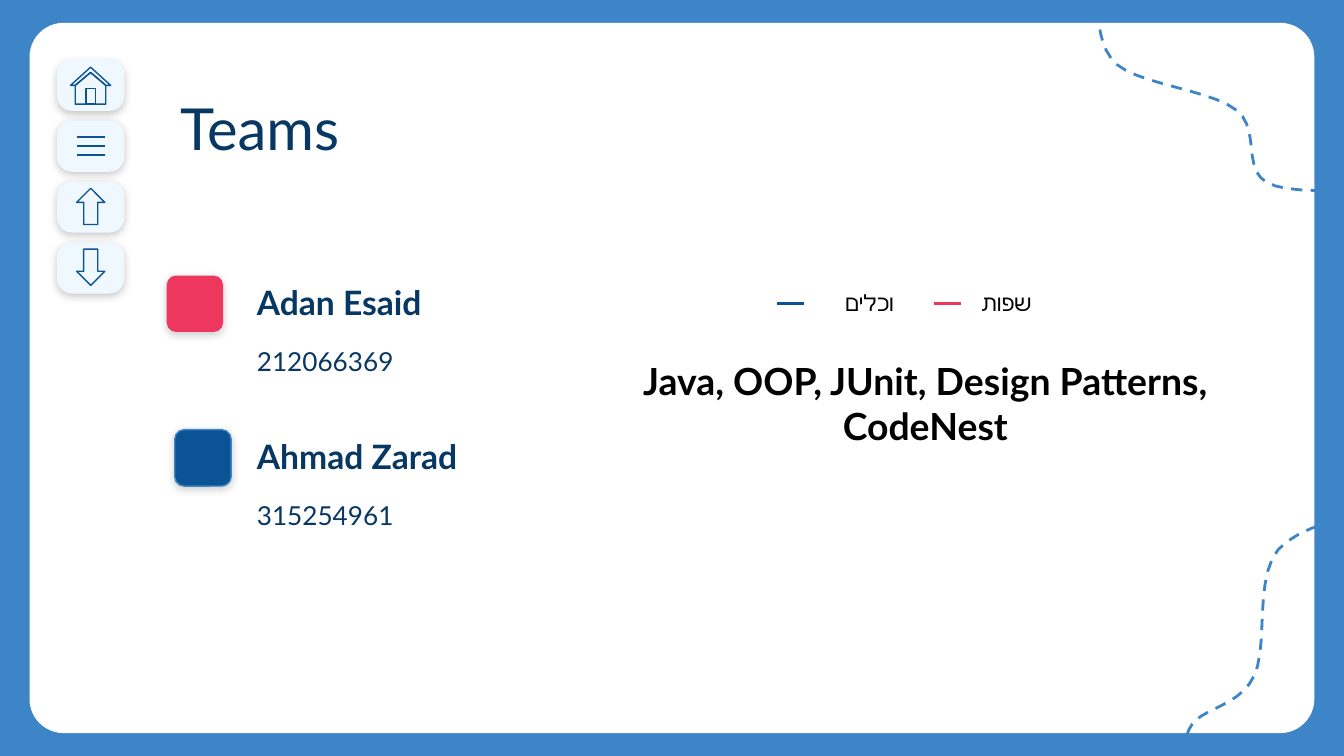
from lxml.etree import SubElement
from pptx import Presentation
from pptx.dml.color import RGBColor
from pptx.enum.dml import MSO_LINE
from pptx.enum.shapes import MSO_CONNECTOR, MSO_SHAPE
from pptx.enum.text import MSO_ANCHOR, MSO_AUTO_SIZE, PP_ALIGN
from pptx.oxml import parse_xml
from pptx.oxml.ns import nsdecls, qn
from pptx.util import Inches, Pt

COLORS = {
    "sky": "3D85C6", "white": "FFFFFF", "navy": "073763", "blue": "0B5394",
    "red": "EE375F", "ice": "F0F8FF", "black": "000000",
}
FONT = "Lato"
COLS, ROWS = 100, 56.25
CELL = Inches(0.1)

BUTTON_X, BUTTON_Y, BUTTON_W, BUTTON_H, BUTTON_STEP = 4.25, 4.45, 5, 3.8, 4.53
TEAM_Y, TEAM_STEP = 20, 11.47
TEAM = [
    ("Adan Esaid", "212066369", 12.4, "red", None),
    ("Ahmad Zarad", "315254961", 13, "blue", "sky"),
]
LEGEND = [("וכלים", 60.4, 57.8, "blue"), ("שפות", 70.6, 69.5, "red")]
CURVES = [
    [(81.5, -0.7), (81.8, 0.2), (81.4, 3.3), (83.1, 4.8), (84.9, 6.3),
     (90.1, 6.7), (92, 8.2), (93.8, 9.6), (92.4, 12.6), (94.3, 13.6),
     (96.1, 14.6), (101.8, 14), (103.3, 14.1)],
    [(88.3, 57.5), (88.3, 56.9), (87.8, 55.1), (88.7, 53.9), (89.5, 52.7),
     (92.3, 52.5), (93.3, 50.3), (94.4, 48.1), (93.3, 43.1), (95.1, 40.9),
     (96.9, 38.8), (102.5, 38), (104, 37.4)],
]
HOUSE = [
    [(6.74, 5.4), (5.6, 6.35), (5.6, 7.75), (7.87, 7.75), (7.87, 6.35)],
    [(6.4, 6.6), (6.4, 7.75), (7.1, 7.75), (7.1, 6.6)],
    [(6.74, 5), (5.25, 6.35), (5.6, 6.35), (6.74, 5.38), (7.87, 6.35),
     (8.23, 6.35)],
]


def grid(*cells):
    return [round(c * CELL) for c in cells]


def color(name):
    return RGBColor.from_string(COLORS[name])


def style_line(line, name, width):
    line.color.rgb = color(name)
    line.width = Pt(width)


def add_shadow(sp, opacity):
    sp._element.spPr.append(parse_xml(
        f'<a:effectLst {nsdecls("a")}><a:outerShdw blurRad="{Pt(4.5)}" '
        f'dist="{Pt(1.5)}" dir="5400000" algn="bl" rotWithShape="0">'
        f'<a:srgbClr val="{COLORS["black"]}"><a:alpha val="{opacity * 1000}"/>'
        '</a:srgbClr></a:outerShdw></a:effectLst>'))


def add_preset(shapes, kind, box, adj, fill=None, line=None, shadow=None):
    sp = shapes.add_shape(kind, *grid(*box))
    for i, value in enumerate(adj):
        sp.adjustments[i] = value
    if fill:
        sp.fill.solid()
        sp.fill.fore_color.rgb = color(fill)
    else:
        sp.fill.background()
    if line:
        style_line(sp.line, line, 0.75)
    else:
        sp.line.fill.background()
    if shadow:
        add_shadow(sp, shadow)
    else:
        sp.shadow.inherit = False
    return sp


def add_line(shapes, x, y, length, name, width):
    cxn = shapes.add_connector(
        MSO_CONNECTOR.STRAIGHT, *grid(x, y, x + length, y))
    style_line(cxn.line, name, width)
    SubElement(cxn._element.spPr, qn("a:effectLst"))


def add_outline(shapes, points, name, width, close=True):
    builder = shapes.build_freeform(*grid(*points[0]))
    builder.add_line_segments([grid(*p) for p in points[1:]], close=close)
    sp = builder.convert_to_shape()
    sp.fill.background()
    style_line(sp.line, name, width)
    sp.shadow.inherit = False
    return sp


def bezier_points(controls, steps=10):
    points = [controls[0]]
    for i in range(0, len(controls) - 1, 3):
        for k in range(1, steps + 1):
            t = k / steps
            weights = ((1 - t) ** 3, 3 * t * (1 - t) ** 2,
                       3 * t * t * (1 - t), t ** 3)
            points.append(tuple(
                sum(w * c[axis] for w, c in zip(weights, controls[i:i + 4]))
                for axis in (0, 1)))
    return points


def write_text(sp, text, size, name, bold=False, align=PP_ALIGN.LEFT):
    tf = sp.text_frame
    tf.word_wrap = True
    tf.auto_size = MSO_AUTO_SIZE.NONE
    tf.vertical_anchor = MSO_ANCHOR.TOP
    tf.margin_left = tf.margin_right = CELL
    tf.margin_top = tf.margin_bottom = CELL
    p = tf.paragraphs[0]
    p.alignment = align
    r = p.add_run()
    r.text = text
    r.font.name = FONT
    r.font.size = Pt(size)
    r.font.bold = bold
    r.font.color.rgb = color(name)
    return r


def add_text(shapes, box, *args, **kwargs):
    write_text(shapes.add_textbox(*grid(*box)), *args, **kwargs)


def add_title(shapes, text):
    title = shapes.title
    title.left, title.top, title.width, title.height = grid(12.4, 5.9, 79.7, 6.9)
    r = write_text(title, text, 31, "navy")
    r._r.get_or_add_rPr().set("kern", "0")
    title.element.getparent().append(title.element)


def add_background(slide):
    slide.background.fill.solid()
    slide.background.fill.fore_color.rgb = color("sky")
    add_preset(slide.shapes, MSO_SHAPE.ROUNDED_RECTANGLE,
               (2.2, 1.7, COLS - 4.4, ROWS - 3.4), [0.048], "white")
    for controls in CURVES:
        sp = add_outline(slide.shapes, bezier_points(controls), "sky", 1.5, False)
        sp.line.dash_style = MSO_LINE.DASH


def add_member(shapes, row, name, number, marker_x, fill, line):
    y = TEAM_Y + row * TEAM_STEP
    add_preset(shapes, MSO_SHAPE.ROUNDED_RECTANGLE,
               (marker_x, y + 0.5, 4.2, 4.2), [0.167], fill, line, 20)
    add_text(shapes, (18.13, y, 28.5, 4.9), name, 18, "navy", bold=True)
    add_text(shapes, (18.13, y + 4.7, 28.5, 3.9), number, 14, "navy")


def add_legend(shapes):
    for text, x, line_x, name in LEGEND:
        add_line(shapes, line_x, 22.6, 2, name, 1.5)
        add_text(shapes, (x, 20.5, 8.6, 4.2), text, 12, "black",
                 align=PP_ALIGN.CENTER)


def add_navigation(shapes):
    tops = [BUTTON_Y + i * BUTTON_STEP for i in range(4)]
    for y in tops:
        add_preset(shapes, MSO_SHAPE.ROUNDED_RECTANGLE,
                   (BUTTON_X, y, BUTTON_W, BUTTON_H), [0.291], "ice", shadow=21)
    house = shapes.add_group_shape().shapes
    for points in HOUSE:
        add_outline(house, points, "blue", 0.75)
    menu = shapes.add_group_shape().shapes
    for i in range(3):
        add_line(menu, 5.7, tops[1] + 1.22 + i * 0.66, 2.1, "blue", 0.75)
    for y, rotation in zip(tops[2:], (180, 0)):
        arrow = add_preset(shapes, MSO_SHAPE.DOWN_ARROW,
                           (5.7, y + 0.5, 2.1, 2.7), [0.5, 0.5], line="blue")
        arrow.rotation = rotation


def main():
    prs = Presentation()
    prs.slide_width, prs.slide_height = grid(COLS, ROWS)
    slide = prs.slides.add_slide(prs.slide_layouts[5])
    add_background(slide)
    add_title(slide.shapes, "Teams")
    add_text(slide.shapes, (46.6, 25.63, 44.5, 6),
             "Java, OOP, JUnit, Design Patterns, CodeNest", 20, "black",
             bold=True, align=PP_ALIGN.CENTER)
    for row, member in enumerate(TEAM):
        add_member(slide.shapes, row, *member)
    add_legend(slide.shapes)
    add_navigation(slide.shapes)
    prs.save("out.pptx")


if __name__ == "__main__":
    main()
